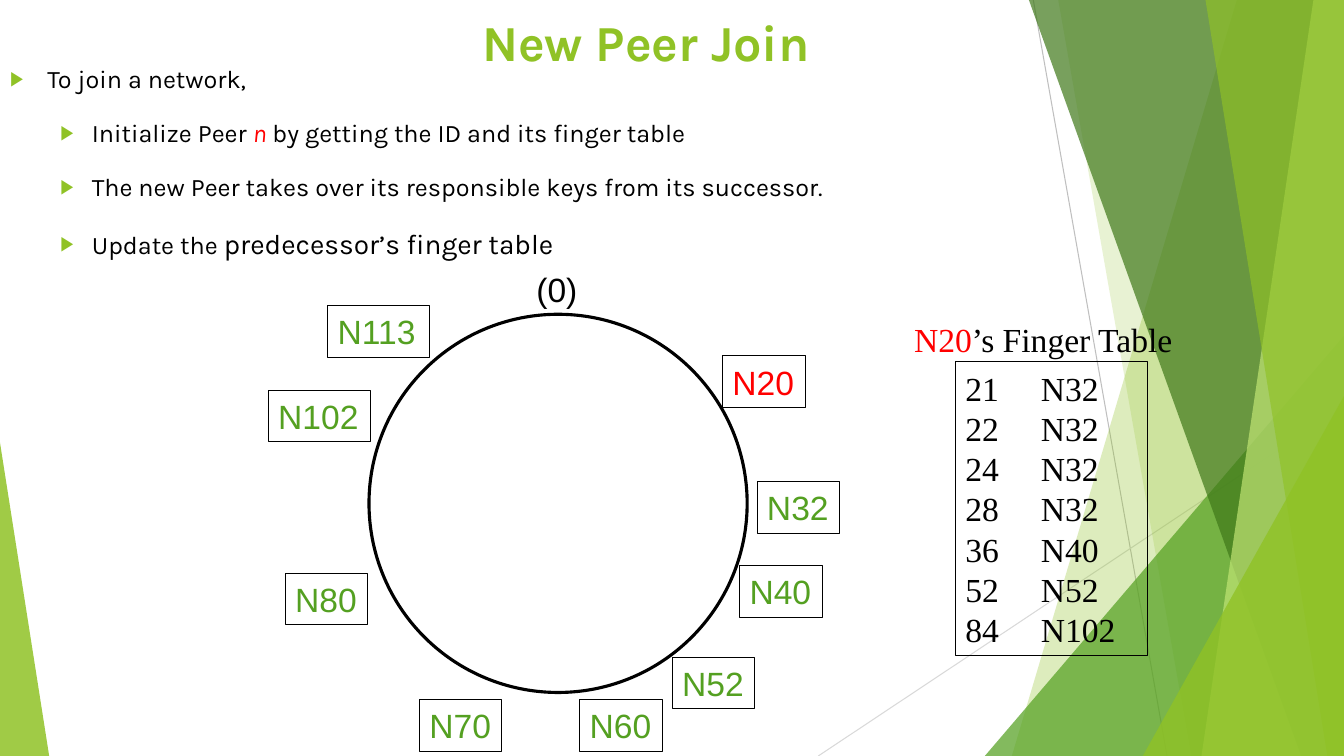
from lxml.etree import SubElement
from pptx import Presentation
from pptx.dml.color import RGBColor
from pptx.enum.shapes import MSO_CONNECTOR, MSO_SHAPE
from pptx.enum.text import MSO_ANCHOR, MSO_AUTO_SIZE, PP_ALIGN
from pptx.oxml.ns import qn
from pptx.util import Cm, Pt

LIME, GREEN, RED, BLACK = "90C226", "54A021", "FF0000", "000000"
WIDE, HIGH = 33.87, 19.05


def paint(fill, color):
    fill.solid()
    fill.fore_color.rgb = RGBColor.from_string(color)


def write(para, text, size=24, font="Arial", color=BLACK, bold=False, italic=False):
    run = para.add_run()
    run.text = text
    run.font.size = Pt(size)
    run.font.name = font
    run.font.bold = bold
    run.font.italic = italic
    paint(run.font.fill, color)


deck = Presentation()
deck.slide_width, deck.slide_height = Cm(WIDE), Cm(HIGH)
slide = deck.slides.add_slide(deck.slide_layouts[1])
shapes = slide.shapes
title, body = slide.placeholders

rays = [
    (26.04, 0, 29.41, HIGH, "BFBFBF"),
    (WIDE, 10.24, 20.62, HIGH, "D9D9D9"),
]
for *ends, color in rays:
    ray = shapes.add_connector(MSO_CONNECTOR.STRAIGHT, *map(Cm, ends))
    paint(ray.line.fill, color)
    ray.line.width = Pt(0.75)
    SubElement(ray.element.spPr, qn("a:effectLst"))

decor = [
    ("band", (31.17, 25.5), LIME, 30),
    ("band", (26.67, 30.02), LIME, 20),
    ("right", (24.82, 8.46, 9.05, 10.59), GREEN, 72),
    ("band", (25.93, 32.79), "3F7819", 70),
    ("band", (33.1, 30.28), "C0E474", 70),
    ("band", (30.38, 33.45), LIME, 65),
    ("right", (28.8, 9.98, 5.07, 9.07), LIME, 80),
    ("left", (0, 11.15, 1.24, 7.9), LIME, 85),
]
for kind, spots, color, alpha in decor:
    if kind == "band":
        top, base = spots
        pen = shapes.build_freeform(Cm(top), 0)
        edge = [(WIDE, 0), (WIDE, HIGH), (base, HIGH)]
        pen.add_line_segments([(Cm(x), Cm(y)) for x, y in edge], close=True)
        part = pen.convert_to_shape()
    else:
        part = shapes.add_shape(MSO_SHAPE.ISOSCELES_TRIANGLE, *map(Cm, spots))
        part.adjustments[0] = 1 if kind == "right" else 0
    paint(part.fill, color)
    part.line.fill.background()
    part.shadow.inherit = False
    tint = part.element.spPr.find(".//" + qn("a:srgbClr"))
    SubElement(tint, qn("a:alpha"), val=str(alpha * 1000))

for holder, spot in [(title, (3.58, 0.1, 25.4, 1.9)), (body, (0, 1.09, 33.02, 16.61))]:
    shapes.element.append(holder.element)
    holder.left, holder.top, holder.width, holder.height = map(Cm, spot)
    holder.text_frame.auto_size = MSO_AUTO_SIZE.NONE

title.text_frame.vertical_anchor = MSO_ANCHOR.MIDDLE
head = title.text_frame.paragraphs[0]
head.alignment = PP_ALIGN.CENTER
write(head, "New Peer Join", size=36, font="Karla", color=LIME, bold=True)

points = [
    (0, [("To join a network,", {})]),
    (1, [
        ("Initialize Peer ", {}),
        ("n", {"color": RED, "italic": True}),
        (" by getting the ID and its finger table", {}),
    ]),
    (1, [("The new Peer takes over its responsible keys from its successor.", {})]),
    (1, [("Update the ", {}), ("predecessor’s finger table", {"size": 20})]),
]
frame = body.text_frame
for i, (level, runs) in enumerate(points):
    para = frame.add_paragraph() if i else frame.paragraphs[0]
    para.level = level
    para.line_spacing = 1.5
    para.space_before = Pt(6)
    for text, style in runs:
        write(para, text, **{"size": 18, "font": "Karla", **style})
    props = para._p.get_or_add_pPr()
    left, hang = [(0.94, 0.94), (2.06, 0.79)][level]
    props.set("marL", str(Cm(left)))
    props.set("indent", str(-Cm(hang)))
    SubElement(SubElement(props, qn("a:buClr")), qn("a:srgbClr"), val=LIME)
    SubElement(props, qn("a:buSzPct"), val="80000")
    SubElement(props, qn("a:buFont"), typeface="Arial")
    SubElement(props, qn("a:buChar"), char="▶")

ring = shapes.add_shape(MSO_SHAPE.OVAL, Cm(9.3), Cm(7.92), Cm(9.53), Cm(9.53))
ring.line.width = Pt(2.25)

nodes = {
    20: (18.21, 8.97),
    32: (19.08, 12.14),
    40: (18.64, 14.25),
    52: (16.94, 16.56),
    60: (14.61, 17.63),
    70: (10.57, 17.63),
    80: (7.19, 14.45),
    102: (6.76, 9.83),
    113: (8.26, 7.7),
}
frames = [ring]
for node, (x, y) in nodes.items():
    width = 2.57 if node > 99 else 2.08
    box = shapes.add_shape(MSO_SHAPE.RECTANGLE, Cm(x), Cm(y), Cm(width), Cm(1.3))
    box.text_frame.word_wrap = False
    para = box.text_frame.paragraphs[0]
    para.alignment = PP_ALIGN.LEFT
    write(para, f"N{node}", color=RED if node == 20 else GREEN)
    box.line.width = Pt(0.75)
    frames.append(box)

table = shapes.add_shape(MSO_SHAPE.RECTANGLE, Cm(24.08), Cm(9.12), Cm(4.83), Cm(7.39))
table.line.width = Pt(0.75)
table.text_frame.word_wrap = False
frames.append(table)
for i in range(7):
    key = 20 + 2 ** i
    owner = next(node for node in nodes if node >= key)
    para = table.text_frame.add_paragraph() if i else table.text_frame.paragraphs[0]
    para.alignment = PP_ALIGN.LEFT
    para.line_spacing = Pt(28.8)
    tabs = SubElement(para._p.get_or_add_pPr(), qn("a:tabLst"))
    SubElement(tabs, qn("a:tab"), pos=str(Cm(1.9)), algn="l")
    write(para, f"{key}\tN{owner}", font="Times New Roman")

for item in frames:
    item.fill.background()
    paint(item.line.fill, BLACK)
    item.shadow.inherit = False

labels = [
    ((13.26, 6.65, 1.55, 1.27), "Arial", [("(0)", BLACK)]),
    ((22.58, 7.92, 7.42, 1.27), "Times New Roman", [("N20", RED), ("’s Finger Table", BLACK)]),
]
for spot, font, runs in labels:
    label = shapes.add_textbox(*map(Cm, spot))
    label.text_frame.word_wrap = len(runs) > 1
    para = label.text_frame.paragraphs[0]
    para.alignment = PP_ALIGN.CENTER
    for text, color in runs:
        write(para, text, font=font, color=color)

deck.save("out.pptx")
